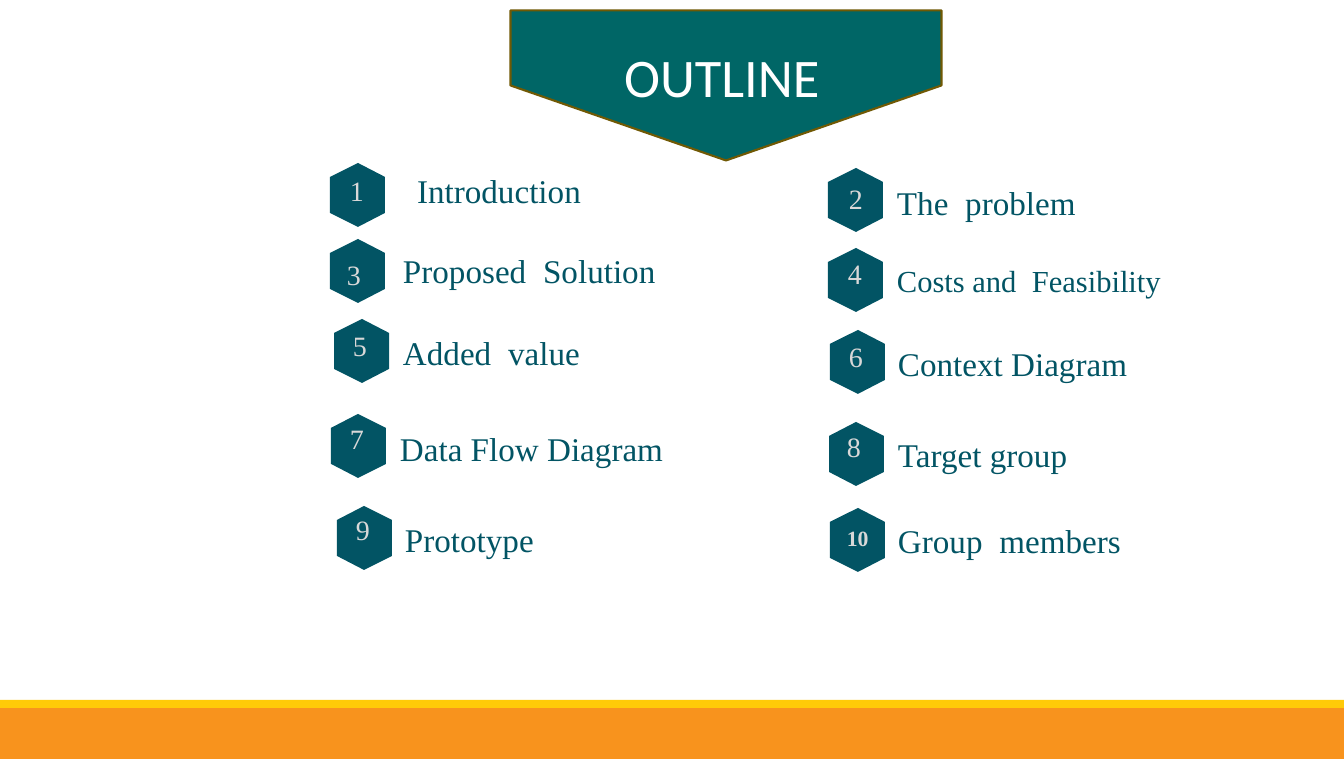
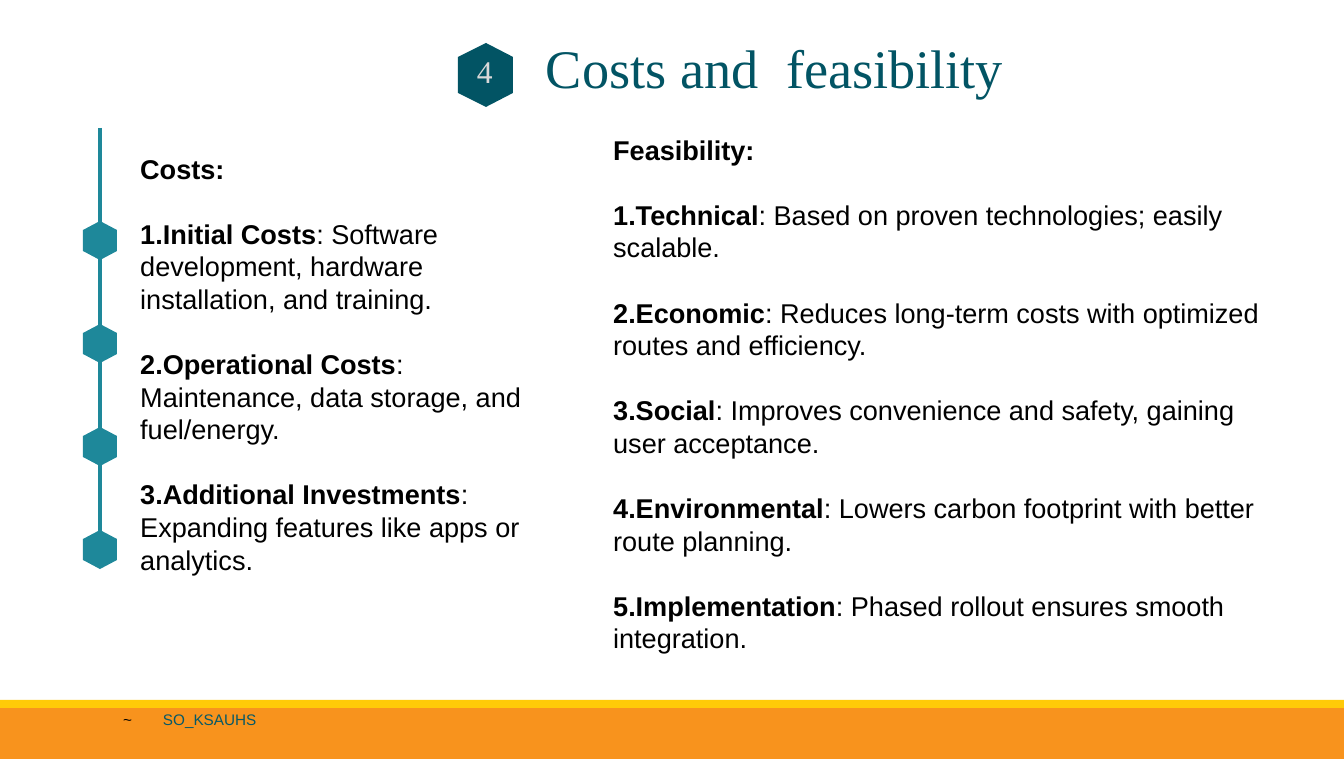
from dataclasses import dataclass

from lxml import etree
from pptx import Presentation
from pptx import util as u
from pptx.dml.color import RGBColor
from pptx.enum import shapes, text
from pptx.oxml import ns

PX = 7483  # EMU in one px


@dataclass(frozen=True)
class Theme:
    # Colours
    band: str = "F8931D"
    stripe: str = "FFCA08"
    badge: str = "025464"
    digit: str = "D9D8D8"
    timeline: str = "1E889A"
    banner: str = "006666"
    banner_edge: str = "705904"
    footer: str = "075967"
    black: str = "000000"
    white: str = "FFFFFF"
    # Fonts
    serif: str = "Times New Roman"
    sans: str = "Arial"
    banner_font: str = "Calibri"
    # Type sizes in points
    title: float = 32
    label: float = 19.5
    long_label: float = 18
    number: float = 28.5
    wide_number: float = 22
    body: float = 16
    small: float = 9
    # Fixed line heights in points
    number_line: float = 19.3
    label_line: float = 20.6
    title_line: float = 19.1
    body_line: float = 19.2
    small_line: float = 10.2


THEME = Theme()

# number, label, wide last gap, badge (x, y), digit (x, y), label (x, y, width)
OUTLINE = [
    (1, "Introduction", False, (330, 163), (350, 175), (417, 175, 197)),
    (2, "The problem", True, (828, 168), (849, 183), (897, 187, 197)),
    (3, "Proposed Solution", True, (330, 239), (347, 259), (403, 255, 283)),
    (4, "Costs and Feasibility", True, (828, 248), (848, 258), (897, 266, 285)),
    (5, "Added value", True, (334, 319), (353, 330), (403, 337, 196)),
    (6, "Context Diagram", False, (830, 330), (849, 341), (898, 348, 244)),
    (7, "Data Flow Diagram", False, (331, 414), (350, 423), (400, 433, 295)),
    (8, "Target group", False, (829, 422), (847, 431), (898, 439, 200)),
    (9, "Prototype", False, (337, 506), (356, 514), (405, 524, 153)),
    (10, "Group members", True, (830, 508), (847, 518), (898, 525, 252)),
]

COSTS = [
    ("Initial Costs", "Software development, hardware installation, and training."),
    ("Operational Costs", "Maintenance, data storage, and fuel/energy."),
    ("Additional Investments", "Expanding features like apps or analytics."),
]

FEASIBILITY = [
    ("Technical", "Based on proven technologies; easily scalable."),
    ("Economic", "Reduces long-term costs with optimized routes and efficiency."),
    ("Social", "Improves convenience and safety, gaining user acceptance."),
    ("Environmental", "Lowers carbon footprint with better route planning."),
    ("Implementation", "Phased rollout ensures smooth integration."),
]


def px(*lengths):
    return [u.Emu(length * PX) for length in lengths]


def rgb(color):
    return RGBColor.from_string(color)


# Text
def add_span(para, words, *, size, color, font=THEME.serif, bold=False,
             tracking=0, baseline=0):
    span = para.add_run()
    span.text = words
    span.font.size = u.Pt(size)
    span.font.name = font
    span.font.bold = bold
    span.font.color.rgb = rgb(color)
    props = span.font._element
    if tracking:
        props.set("spc", str(round(tracking * 100)))
    if baseline:
        props.set("baseline", str(baseline * 1000))


def set_frame(box, inset=0):
    frame = box.text_frame
    frame.word_wrap = True
    frame.auto_size = text.MSO_AUTO_SIZE.NONE
    frame.vertical_anchor = text.MSO_ANCHOR.TOP
    frame.margin_left = frame.margin_right = u.Inches(inset)
    frame.margin_top = frame.margin_bottom = u.Inches(inset / 2)
    return frame


def set_para(para, line, before=0, align=text.PP_ALIGN.LEFT):
    para.alignment = align
    para.line_spacing = u.Pt(line) if line else 1.0
    para.space_before = u.Pt(before)
    para.space_after = u.Pt(0)


def add_text(page, words, left, top, width, height, *, line, **style):
    box = page.shapes.add_textbox(*px(left, top, width, height))
    para = set_frame(box).paragraphs[0]
    set_para(para, line)
    add_span(para, words, **style)


def add_spaced(para, words, wide, **style):
    """Write words, with the last gap twice as wide if asked."""
    if not wide:
        add_span(para, words, **style)
        return
    head, gap, tail = words.rpartition(" ")
    add_span(para, head, **style)
    add_span(para, gap, tracking=style["size"] / 4, **style)
    add_span(para, tail, **style)


def place(holder, left, top, width, height):
    holder.left, holder.top, holder.width, holder.height = px(left, top, width, height)


# Shapes
def paint(shape, color, edge=None):
    shape.shadow.inherit = False
    shape.fill.solid()
    shape.fill.fore_color.rgb = rgb(color)
    if edge:
        shape.line.color.rgb = rgb(edge)
        shape.line.width = u.Pt(1.25)
    else:
        shape.line.fill.background()


def add_hexagon(page, left, top, width, height, color):
    middle, right = left + width / 2, left + width
    upper, lower = top + height * 0.22, top + height * 0.78
    outline = page.shapes.build_freeform(middle, top, scale=PX)
    outline.add_line_segments([(right, upper), (right, lower), (middle, top + height),
                               (left, lower), (left, upper)])
    paint(outline.convert_to_shape(), color)


def add_badge(page, number, corner, digit, size):
    add_hexagon(page, *corner, 55, 64, THEME.badge)
    add_text(page, str(number), *digit, 28, 35, line=THEME.number_line, size=size,
             color=THEME.digit, bold=number > 9, baseline=-8)


def add_bands(deck, page):
    """Draw the bottom bands and hand them to the master."""
    tree = deck.slide_master.shapes.element
    for place_in_tree, (top, height, color) in enumerate(
            [(708, 51, THEME.band), (700, 8, THEME.stripe)], start=2):
        band = page.shapes.add_shape(shapes.MSO_SHAPE.RECTANGLE, *px(0, top, 1344, height))
        paint(band, color)
        tree.insert(place_in_tree, band.element)


def add_timeline(page):
    line = page.shapes.add_connector(shapes.MSO_CONNECTOR.STRAIGHT, *px(100, 128, 100, 550))
    line.line.color.rgb = rgb(THEME.timeline)
    line.line.width = u.Pt(2.06)
    etree.SubElement(line.element.spPr, ns.qn("a:effectLst"))
    for step in range(4):
        add_hexagon(page, 83, 221 + 103 * step, 34, 39, THEME.timeline)


def set_bullet(para, numbered):
    props = para._p.get_or_add_pPr()
    props.set("marL", "0")
    props.set("indent", "0")
    if numbered:
        etree.SubElement(props, ns.qn("a:buAutoNum"), type="arabicPeriod")
    else:
        etree.SubElement(props, ns.qn("a:buNone"))


def fill_list(holder, heading, items):
    frame = set_frame(holder, inset=0.1)
    style = dict(size=THEME.body, color=THEME.black, font=THEME.sans)
    para = frame.paragraphs[0]
    set_para(para, THEME.body_line)
    set_bullet(para, numbered=False)
    add_span(para, heading, bold=True, **style)
    for name, detail in items:
        para = frame.add_paragraph()
        set_para(para, THEME.body_line, before=THEME.body_line)
        set_bullet(para, numbered=True)
        add_span(para, name, bold=True, **style)
        add_span(para, f": {detail}", **style)


# Slides
def build_outline(page):
    banner = page.shapes.add_shape(shapes.MSO_SHAPE.PENTAGON, *px(651, -130, 150, 431))
    banner.rotation = 90
    paint(banner, THEME.banner, THEME.banner_edge)

    title = page.shapes.title
    place(title, 574, 37, 296, 78)
    para = set_frame(title, inset=0.1).paragraphs[0]
    set_para(para, None, align=text.PP_ALIGN.CENTER)
    add_span(para, "OUTLINE", size=THEME.title, color=THEME.white, font=THEME.banner_font)
    page.shapes.element.append(title.element)  # in front of the banner

    for number, label, wide, corner, digit, (left, top, width) in OUTLINE:
        add_badge(page, number, corner, digit,
                  THEME.wide_number if number > 9 else THEME.number)
        is_long = len(label) > 20
        box = page.shapes.add_textbox(*px(left, top, width, 37))
        para = set_frame(box).paragraphs[0]
        set_para(para, THEME.title_line if is_long else THEME.label_line)
        add_spaced(para, label, wide, color=THEME.badge,
                   size=THEME.long_label if is_long else THEME.label)


def build_costs(page):
    # Footer
    for words, left, width, color in [("~", 123, 16, THEME.black),
                                      ("SO_KSAUHS", 163, 99, THEME.footer)]:
        add_text(page, words, left, 711, width, 18, line=THEME.small_line,
                 size=THEME.small, color=color, font=THEME.sans)

    add_timeline(page)

    # Title
    title, costs, feasibility = page.placeholders
    place(title, 546, 67, 544, 62)
    para = set_frame(title).paragraphs[0]
    set_para(para, THEME.title_line)
    add_spaced(para, "Costs and feasibility", True, size=THEME.title, color=THEME.badge)
    add_badge(page, 4, (458, 43), (477, 57), THEME.title)

    # Lists
    place(costs, 128, 146, 436, 467)
    fill_list(costs, "Costs:", COSTS)
    place(feasibility, 601, 127, 672, 539)
    fill_list(feasibility, "Feasibility:", FEASIBILITY)


def main():
    deck = Presentation()
    deck.slide_width, deck.slide_height = px(1344, 759)
    title_only, two_content = deck.slide_layouts[5], deck.slide_layouts[3]
    outline_page = deck.slides.add_slide(title_only)
    add_bands(deck, outline_page)
    build_outline(outline_page)
    build_costs(deck.slides.add_slide(two_content))
    deck.save("out.pptx")


if __name__ == "__main__":
    main()
